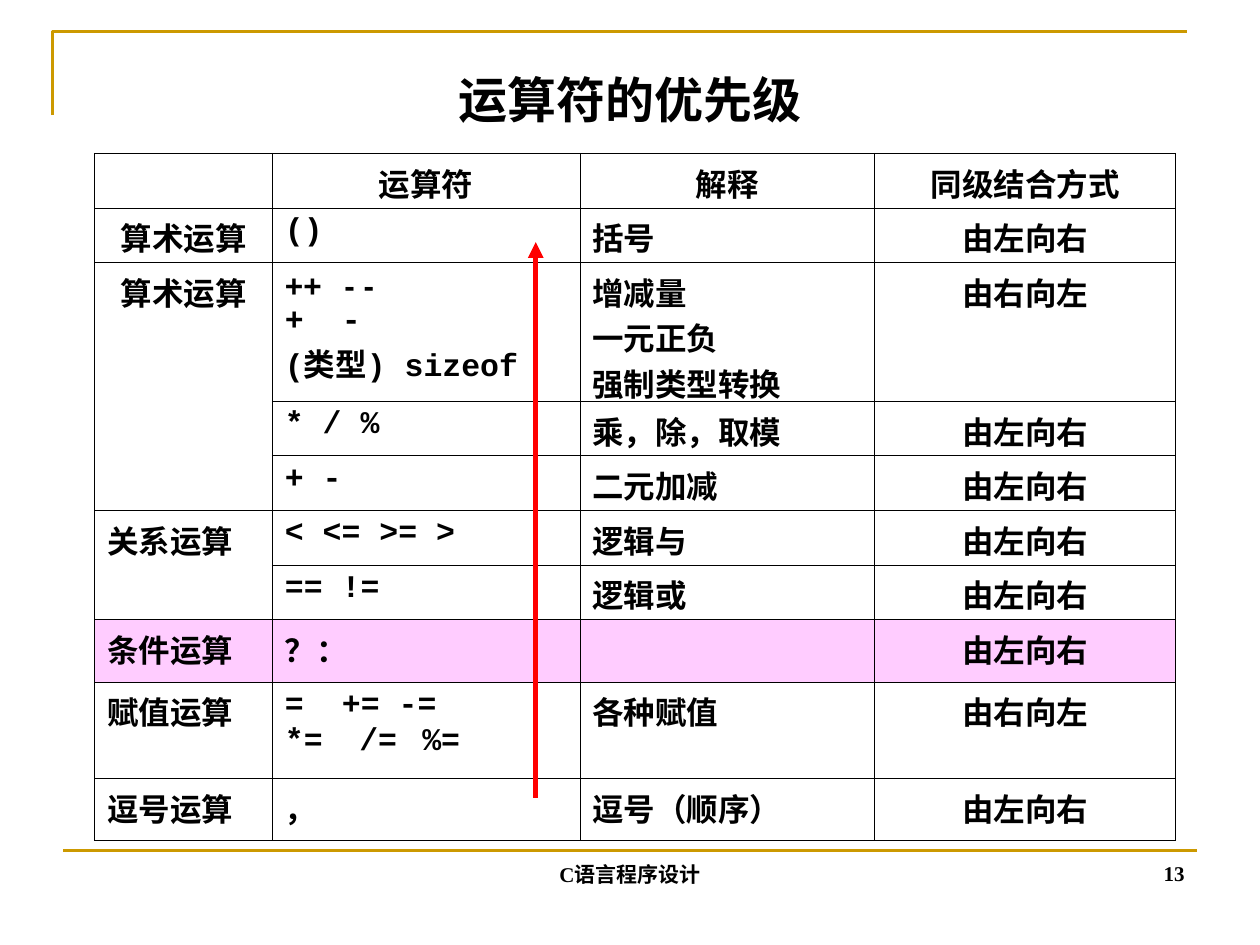
from dataclasses import dataclass

from lxml.etree import SubElement
from pptx import Presentation
from pptx.dml.color import RGBColor
from pptx.enum.shapes import MSO_CONNECTOR
from pptx.enum.text import MSO_ANCHOR, PP_ALIGN
from pptx.oxml.ns import qn
from pptx.util import Cm, Pt

SERIF, SANS, MONO = "Times New Roman", "Arial", "Courier New"
BLACK, GOLD, RED, PINK = "000000", "CC9900", "FF0000", "FFCCFF"
LEFT, CENTER, RIGHT = PP_ALIGN.LEFT, PP_ALIGN.CENTER, PP_ALIGN.RIGHT
HANGING = 0.95


@dataclass
class Line:
    """One paragraph of a cell: (text, font) spans, indent and tab stops in cm."""
    spans: list[tuple[str, str]]
    indent: float = HANGING
    tabs: tuple[float, ...] = ()


@dataclass
class Row:
    height: float
    group: str
    operators: list[Line]
    meanings: list[str]
    order: str
    group_font: str = SANS
    meaning_font: str = SERIF
    group_align: PP_ALIGN = LEFT
    fill: str = ""
    group_rows: int = 1


def mono(text: str, indent: float = HANGING, tabs: tuple[float, ...] = ()) -> Line:
    return Line([(text, MONO)], indent, tabs)


LEFT_TO_RIGHT, RIGHT_TO_LEFT = "由左向右", "由右向左"
COLUMN_WIDTHS = [3.58, 6.2, 5.94, 6.07]
HEADINGS = ["", "运算符", "解释", "同级结合方式"]
LOW, MIDDLE = 1.1, 1.26
ROWS = [
    Row(LOW, "算术运算", [mono("()")], ["括号"], LEFT_TO_RIGHT, group_align=CENTER),
    Row(2.8, "算术运算",
        [Line([("++\t- -", SANS)], 1.2), mono("+\t-", 1.15),
         Line([("(", MONO), ("类型", SERIF), (") sizeof", MONO)])],
        ["增减量", "一元正负", "强制类型转换"], RIGHT_TO_LEFT,
        meaning_font=SANS, group_align=CENTER, group_rows=3),
    Row(LOW, "", [mono("* / %")], ["乘，除，取模"], LEFT_TO_RIGHT),
    Row(LOW, "", [mono("+ -")], ["二元加减"], LEFT_TO_RIGHT),
    Row(LOW, "关系运算", [mono("< <= >= >")], ["逻辑与"], LEFT_TO_RIGHT,
        meaning_font=SANS, group_rows=2),
    Row(LOW, "", [mono("== !=")], ["逻辑或"], LEFT_TO_RIGHT, meaning_font=SANS),
    Row(MIDDLE, "条件运算", [Line([("？：", SANS)])], [], LEFT_TO_RIGHT, fill=PINK),
    Row(1.94, "赋值运算", [mono("=\t+= -=", 1.15), mono("*=\t/=\t%=", 1.5, (3.0,))],
        ["各种赋值"], RIGHT_TO_LEFT),
    Row(MIDDLE, "逗号运算", [Line([("，", SANS)])], ["逗号（顺序）"], LEFT_TO_RIGHT,
        meaning_font=SANS),
]


def color(value: str) -> RGBColor:
    return RGBColor.from_string(value)


def style_font(font, name: str, size: float) -> None:
    font.name, font.size, font.bold = name, Pt(size), True
    font.color.rgb = color(BLACK)


def add_label(page, text: str, left: float, top: float, width: float, height: float,
              size: float, align: PP_ALIGN, anchor=MSO_ANCHOR.TOP) -> None:
    box = page.shapes.add_textbox(Cm(left), Cm(top), Cm(width), Cm(height))
    frame = box.text_frame
    frame.word_wrap, frame.vertical_anchor = True, anchor
    para = frame.paragraphs[0]
    para.text, para.alignment = text, align
    style_font(para.font, SERIF, size)


def add_line(page, start: tuple[float, float], end: tuple[float, float],
             line_color: str, width: float, arrow: bool = False) -> None:
    line = page.shapes.add_connector(
        MSO_CONNECTOR.STRAIGHT, *(Cm(value) for value in start + end))
    line.line.color.rgb, line.line.width = color(line_color), Pt(width)
    if arrow:
        SubElement(line.line._get_or_add_ln(), qn("a:tailEnd"), type="triangle")
    SubElement(line._element.spPr, qn("a:effectLst"))


def add_corner(page) -> None:
    builder = page.shapes.build_freeform(Cm(1.06), Cm(2.32))
    builder.add_line_segments([(Cm(1.06), Cm(0.64)), (Cm(23.92), Cm(0.64))], close=False)
    corner = builder.convert_to_shape()
    corner.shadow.inherit = False
    corner.fill.background()
    corner.line.color.rgb, corner.line.width = color(GOLD), Pt(1.5)


def format_cell(cell, fill: str) -> None:
    properties = cell._tc.get_or_add_tcPr()
    for side in ("lnL", "lnR", "lnT", "lnB"):
        border = SubElement(properties, qn(f"a:{side}"), w=str(Pt(0.45)))
        solid = SubElement(border, qn("a:solidFill"))
        SubElement(solid, qn("a:srgbClr"), val=BLACK)
    if fill:
        cell.fill.solid()
        cell.fill.fore_color.rgb = color(fill)
    else:
        cell.fill.background()


def write_cell(cell, lines: list[Line], align: PP_ALIGN) -> None:
    frame = cell.text_frame
    for index, line in enumerate(lines):
        para = frame.add_paragraph() if index else frame.paragraphs[0]
        para.alignment = align
        properties = para._p.get_or_add_pPr()
        properties.set("marL", str(Cm(line.indent)))
        properties.set("indent", str(-Cm(line.indent)))
        if line.tabs:
            stops = SubElement(properties, qn("a:tabLst"))
            for position in line.tabs:
                SubElement(stops, qn("a:tab"), pos=str(Cm(position)), algn="l")
        for text, font_name in line.spans:
            span = para.add_run()
            span.text = text
            if len(line.spans) > 1:
                style_font(span.font, font_name, 18)
        if len(line.spans) == 1:
            style_font(para.font, line.spans[0][1], 18)


def add_precedence_table(page) -> None:
    heights = [LOW] + [row.height for row in ROWS]
    frame = page.shapes.add_table(len(heights), len(COLUMN_WIDTHS), Cm(1.91), Cm(3.09),
                                  Cm(sum(COLUMN_WIDTHS)), Cm(sum(heights)))
    table = frame.table
    table.first_row = table.horz_banding = False
    for column, width in zip(table.columns, COLUMN_WIDTHS):
        column.width = Cm(width)
    for table_row, height in zip(table.rows, heights):
        table_row.height = Cm(height)

    # Heading row
    for index, heading in enumerate(HEADINGS):
        format_cell(table.cell(0, index), "")
        if heading:
            write_cell(table.cell(0, index), [Line([(heading, SERIF)])], CENTER)

    # Operator rows
    for number, row in enumerate(ROWS, start=1):
        group, operators, meaning, order = (table.cell(number, i) for i in range(4))
        for cell in (group, operators, meaning, order):
            format_cell(cell, row.fill)
        if row.group:
            write_cell(group, [Line([(row.group, row.group_font)])], row.group_align)
        write_cell(operators, row.operators, LEFT)
        write_cell(meaning, [Line([(text, row.meaning_font)]) for text in row.meanings], LEFT)
        write_cell(order, [Line([(row.order, SERIF)])], CENTER)
        if row.group_rows > 1:
            group.merge(table.cell(number + row.group_rows - 1, 0))


def main() -> None:
    deck = Presentation()
    deck.slide_width, deck.slide_height = Cm(25.4), Cm(19.05)
    page = deck.slides.add_slide(deck.slide_layouts[6])

    # Frame lines and footer
    add_corner(page)
    add_line(page, (1.27, 17.15), (24.13, 17.15), GOLD, 1.5)
    add_label(page, "C语言程序设计", 8.68, 16.74, 8.04, 1.27, 12, CENTER, MSO_ANCHOR.BOTTOM)
    add_label(page, "13", 18.21, 16.71, 5.92, 1.27, 12, RIGHT, MSO_ANCHOR.BOTTOM)

    # Table with the arrow of rising precedence
    add_precedence_table(page)
    add_line(page, (10.8, 16.08), (10.8, 4.88), RED, 3, arrow=True)

    # Title
    add_label(page, "运算符的优先级", 1.06, 1.27, 23.29, 1.45, 28, CENTER)

    deck.save("out.pptx")


if __name__ == "__main__":
    main()
